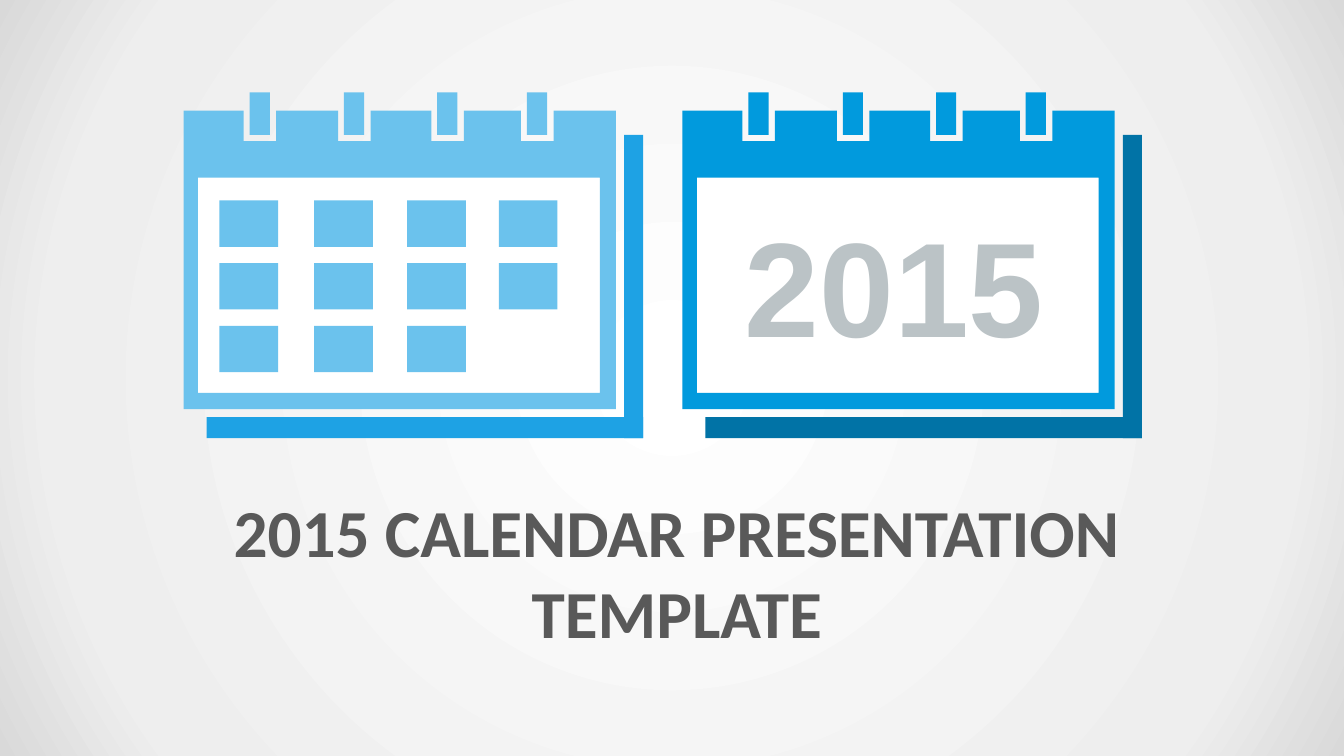
from pptx import Presentation
from pptx.dml.color import RGBColor
from pptx.enum.shapes import MSO_SHAPE
from pptx.enum.text import PP_ALIGN
from pptx.oxml import parse_xml
from pptx.oxml.ns import nsdecls
from pptx.util import Cm, Pt

WHITE = RGBColor(0xFF, 0xFF, 0xFF)
LIGHT_BLUE = RGBColor(0x6B, 0xC2, 0xED)
MID_BLUE = RGBColor(0x1E, 0xA2, 0xE4)
STRONG_BLUE = RGBColor(0x01, 0x9A, 0xDD)
DARK_BLUE = RGBColor(0x01, 0x73, 0xA6)
SILVER = RGBColor(0xBB, 0xC3, 0xC6)
CHARCOAL = RGBColor(0x59, 0x59, 0x59)
EDGE_GREY = RGBColor(0xD9, 0xD9, 0xD9)
PALE_GREY = RGBColor(0xEE, 0xEE, 0xEE)

RING_XS = (1.66, 4.04, 6.39, 8.65)
DAY_COLUMNS = ((0.9, 3), (3.29, 3), (5.63, 3), (7.94, 2))


def set_background(s):
    stops = ((0, WHITE), (81, PALE_GREY), (100, EDGE_GREY))
    gs = "".join(f'<a:gs pos="{pos * 1000}"><a:srgbClr val="{color}"/></a:gs>'
                 for pos, color in stops)
    s.element.cSld.insert(0, parse_xml(
        f'<p:bg {nsdecls("p", "a")}><p:bgPr><a:gradFill rotWithShape="1">'
        f'<a:gsLst>{gs}</a:gsLst><a:path path="circle">'
        '<a:fillToRect l="50000" t="50000" r="50000" b="50000"/></a:path>'
        '</a:gradFill><a:effectLst/></p:bgPr></p:bg>'))


def paint(sp, color):
    sp.fill.solid()
    sp.fill.fore_color.rgb = color
    sp.line.fill.background()
    sp.shadow.inherit = False


def add_rect(s, x, y, w, h, color):
    paint(s.shapes.add_shape(MSO_SHAPE.RECTANGLE, Cm(x), Cm(y), Cm(w), Cm(h)), color)


def add_text(s, text, x, y, w, h, *, size, font, color, align=PP_ALIGN.LEFT, wrap=True):
    tf = s.shapes.add_textbox(Cm(x), Cm(y), Cm(w), Cm(h)).text_frame
    tf.word_wrap = wrap
    p = tf.paragraphs[0]
    p.alignment = align
    r = p.add_run()
    r.text = text
    r.font.size, r.font.name, r.font.bold = Pt(size), font, True
    r.font.color.rgb = color


def add_frame(s, x, y, color):
    """Draw the calendar border with a window and a notch under each ring."""
    left, top, right, bottom = 0, 0.46, 10.89, 7.98
    outline = [(left, top)]
    for ring_x in RING_XS:
        start, end = ring_x - 0.15, ring_x + 0.67
        outline += [(start, top), (start, 1.23), (end, 1.23), (end, top)]
    outline += [(right, top), (right, bottom), (left, bottom)]
    window = [(0.36, 2.15), (0.36, 7.57), (10.49, 7.57), (10.49, 2.15)]

    def place(points):
        return [(Cm(x + px), Cm(y + py)) for px, py in points]

    outline, window = place(outline), place(window)
    builder = s.shapes.build_freeform(*outline[0])
    builder.add_line_segments(outline[1:], close=True)
    builder.move_to(*window[0])
    builder.add_line_segments(window[1:], close=True)
    paint(builder.convert_to_shape(), color)


def add_calendar(s, x, y, color, shade):
    add_rect(s, x + 0.15, y + 2.11, 10.57, 5.72, WHITE)
    add_frame(s, x, y, color)
    for ring_x in RING_XS:
        add_rect(s, x + ring_x, y, 0.51, 1.07, color)
    add_rect(s, x + 0.58, y + 8.18, 11, 0.53, shade)
    add_rect(s, x + 11.1, y + 1.07, 0.48, 7.64, shade)


def add_days(s, x, y, color):
    for column_x, count in DAY_COLUMNS:
        for row in range(count):
            add_rect(s, x + column_x, y + 2.72 + 1.58 * row, 1.48, 1.17, color)


def main():
    prs = Presentation()
    prs.slide_width, prs.slide_height = Cm(33.87), Cm(19.05)
    s = prs.slides.add_slide(prs.slide_layouts[6])
    set_background(s)
    top, month_x, year_x = 2.33, 4.63, 17.2
    add_calendar(s, month_x, top, LIGHT_BLUE, MID_BLUE)
    add_days(s, month_x, top, LIGHT_BLUE)
    add_calendar(s, year_x, top, STRONG_BLUE, DARK_BLUE)
    add_text(s, "2015", year_x + 1.32, top + 2.67, 8.13, 4.37,
             size=96, font="Arial", color=SILVER, wrap=False)
    add_text(s, "2015 CALENDAR PRESENTATION TEMPLATE", 2.67, 12.24, 28.78, 3.78,
             size=48, font="Calibri", color=CHARCOAL, align=PP_ALIGN.CENTER)
    prs.save("out.pptx")


if __name__ == "__main__":
    main()
